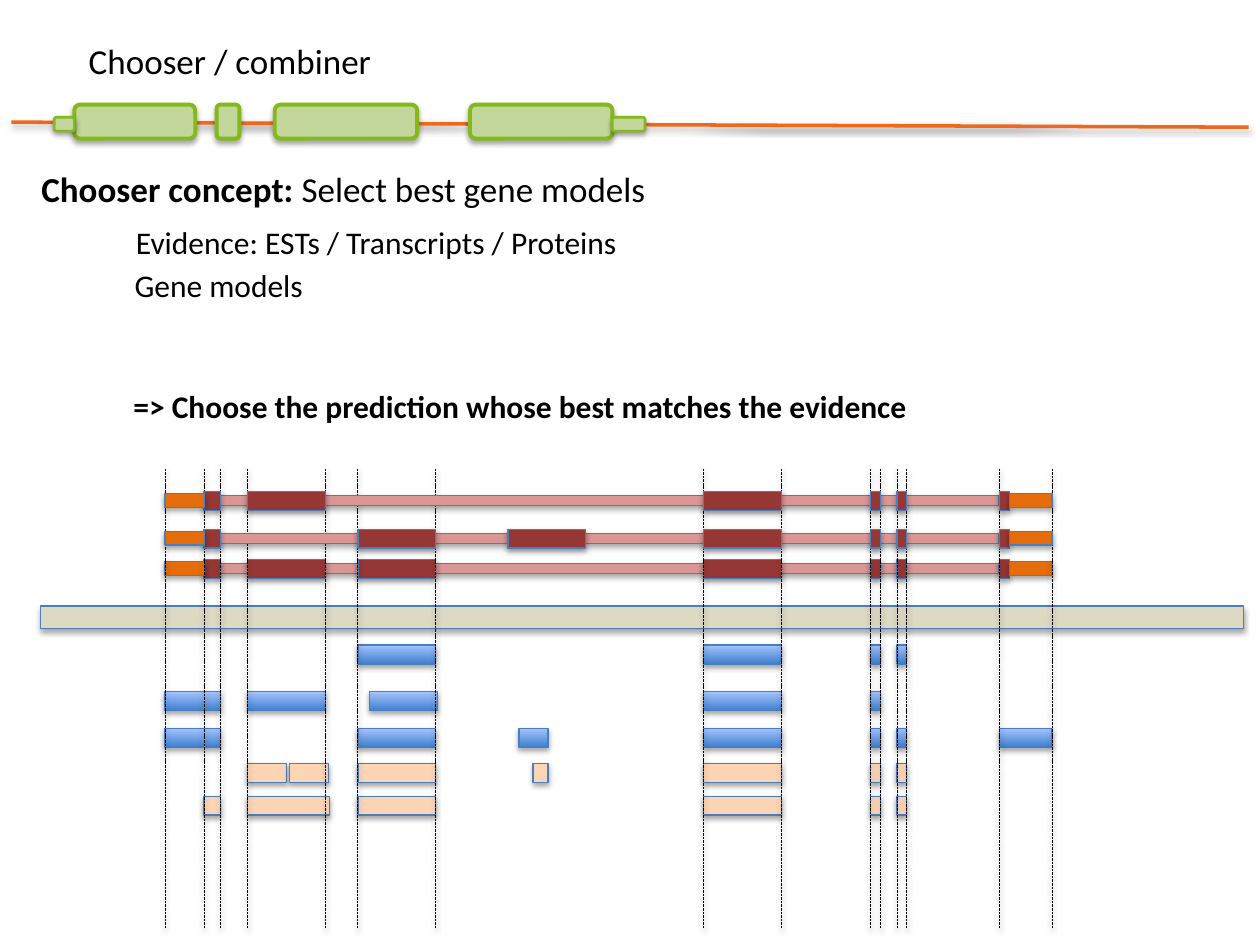
from dataclasses import dataclass
from lxml import etree
from pptx import Presentation
from pptx import util as u
from pptx.dml import color
from pptx.enum import dml, shapes, text
from pptx.oxml import ns

Pt = u.Pt


@dataclass
class Theme:
    font: str = "Calibri"
    heading: int = 20
    body: int = 18
    black: str = "000000"
    strand: str = "F0681A"
    gene: str = "C3D69B"
    gene_line: str = "84B919"
    box_line: str = "4B7EBC"
    genome: str = "DDD9C3"
    intron: str = "D99694"
    exon: str = "953735"
    utr: str = "E46C0A"
    protein: str = "FCD5B5"
    transcript: tuple = ("3F80CE", "A4C4FF")


theme = Theme()
rgb = color.RGBColor.from_string


def finish(shape, line_color, line_width, distance=1.8, opacity=35):
    shape.line.color.rgb = rgb(line_color)
    shape.line.width = Pt(line_width)
    effects = etree.SubElement(shape._element.spPr, ns.qn("a:effectLst"))
    shadow = etree.SubElement(
        effects, ns.qn("a:outerShdw"), blurRad=str(Pt(3.1)), dist=str(Pt(distance)),
        dir="5400000", rotWithShape="0")
    shade = etree.SubElement(shadow, ns.qn("a:srgbClr"), val=theme.black)
    etree.SubElement(shade, ns.qn("a:alpha"), val=str(opacity * 1000))


def add_box(parent, bounds, fill, line=theme.box_line, width=0.75,
            kind=shapes.MSO_SHAPE.RECTANGLE):
    shape = parent.shapes.add_shape(kind, *[Pt(value) for value in bounds])
    if isinstance(fill, tuple):
        shape.fill.gradient()
        shape.fill.gradient_angle = 90
        for stop, value, position in zip(shape.fill.gradient_stops, fill, (0, 1)):
            stop.color.rgb = rgb(value)
            stop.position = position
    else:
        shape.fill.solid()
        shape.fill.fore_color.rgb = rgb(fill)
    finish(shape, line, width)


presentation = Presentation()
presentation.slide_width, presentation.slide_height = Pt(720), Pt(540)
slide = presentation.slides.add_slide(presentation.slide_layouts[6])

strand = slide.shapes.add_connector(
    shapes.MSO_CONNECTOR.STRAIGHT, Pt(6.5), Pt(69.8), Pt(713.5), Pt(72.7))
finish(strand, theme.strand, 2, 1.6, 38)

coding = [(42.5, 69.1), (123.8, 13), (157, 81.4), (268.6, 81.4)]
untranslated = [(349.9, 18.7), (31, 11.5)]
for parts, top, height, width in ((coding, 59.8, 19.4, 2.25), (untranslated, 67, 7.9, 1.5)):
    for left, length in parts:
        add_box(slide, (left, top, length, height), theme.gene, theme.gene_line, width,
                shapes.MSO_SHAPE.ROUNDED_RECTANGLE)

labels = [
    ((36, 17.3, 190.8, 34.6), theme.heading, True, [("Chooser / combiner", False)]),
    ((16.6, 92.2, 362.9, 31.7), theme.heading, False,
     [("Chooser concept: ", True), ("Select best gene models", False)]),
    ((70.6, 123.8, 316.8, 28.8), theme.body, True,
     [("Evidence: ESTs / Transcripts / Proteins", False)]),
    ((69.8, 148.3, 111.6, 28.8), theme.body, False, [("Gene models", False)]),
    ((69.1, 217.4, 531.4, 28.8), theme.body, False,
     [("=> Choose the prediction whose best matches the evidence", True)]),
]
for bounds, size, wrap, pieces in labels:
    label = slide.shapes.add_textbox(*[Pt(value) for value in bounds])
    label.text_frame.word_wrap = wrap
    paragraph = label.text_frame.paragraphs[0]
    if pieces[0][0] == "Chooser / combiner":
        paragraph.alignment = text.PP_ALIGN.CENTER
        label.text_frame.vertical_anchor = text.MSO_ANCHOR.MIDDLE
    else:
        label.text_frame.auto_size = text.MSO_AUTO_SIZE.SHAPE_TO_FIT_TEXT
    for words, bold in pieces:
        run = paragraph.add_run()
        run.text = words
        run.font.name = theme.font
        run.font.size = Pt(size)
        run.font.bold = bold
        run.font.color.rgb = rgb(theme.black)

add_box(slide, (23, 346.3, 687.6, 13), theme.genome)

exons = {
    "start": (116.6, 9.4), "second": (141.4, 44.6), "third": (204.5, 44.6),
    "extra": (290.2, 44.6), "fourth": (402.1, 44.6), "fifth": (497.5, 5.6),
    "sixth": (512.6, 5.4), "stop": (571, 5.8),
}
utrs = [(94.3, 22.7), (576.7, 24.5)]
leader = (94.3, 31.7)
shared = ["fourth", "fifth", "sixth"]
row_height = 10.8

models = [
    (319.7, ["second", "third"]),
    (302.4, ["extra", "third"]),
    (280.8, ["second"]),
]
proteins = [
    (436.3, [(141.4, 22.3), (165.6, 22.3), exons["third"], (304.6, 8.6)], shared),
    (455, [exons["start"], (141.4, 46.8), exons["third"]], shared),
]
transcripts = [
    (368.6, [exons["third"]], shared),
    (395.3, [leader, exons["second"], (211, 38.9)], ["fourth", "fifth"]),
    (416.2, [leader, exons["third"], (296.6, 16.6), (571, 30.2)], shared),
]
guides = [94.3, 601.2, exons["stop"][0]]
for name in ["start", "second", "third"] + shared:
    left, length = exons[name]
    guides += [left, left + length]

for index, (top, chosen) in enumerate(models):
    model = slide.shapes.add_group_shape()
    add_box(model, (123.1, top + 2.3, 447.8, 5.8), theme.intron)
    for name in chosen + shared + ["stop", "start"]:
        left, length = exons[name]
        add_box(model, (left, top, length, row_height), theme.exon)
    for left, length in utrs:
        add_box(model, (left, top + 1.2, length, 7.9), theme.utr)

    if index == 0:
        for rows, fill in ((proteins, theme.protein), (transcripts, theme.transcript)):
            evidence = slide.shapes.add_group_shape()
            for row_top, matches, names in rows:
                for left, length in matches + [exons[name] for name in names]:
                    add_box(evidence, (left, row_top, length, row_height), fill)
        boundaries = slide.shapes.add_group_shape()
        for x in guides:
            guide = boundaries.shapes.add_connector(
                shapes.MSO_CONNECTOR.STRAIGHT, Pt(x), Pt(267.8), Pt(x), Pt(530.6))
            guide.line.dash_style = dml.MSO_LINE.SQUARE_DOT
            finish(guide, theme.black, 0.5, 1.6, 38)

presentation.save("out.pptx")
